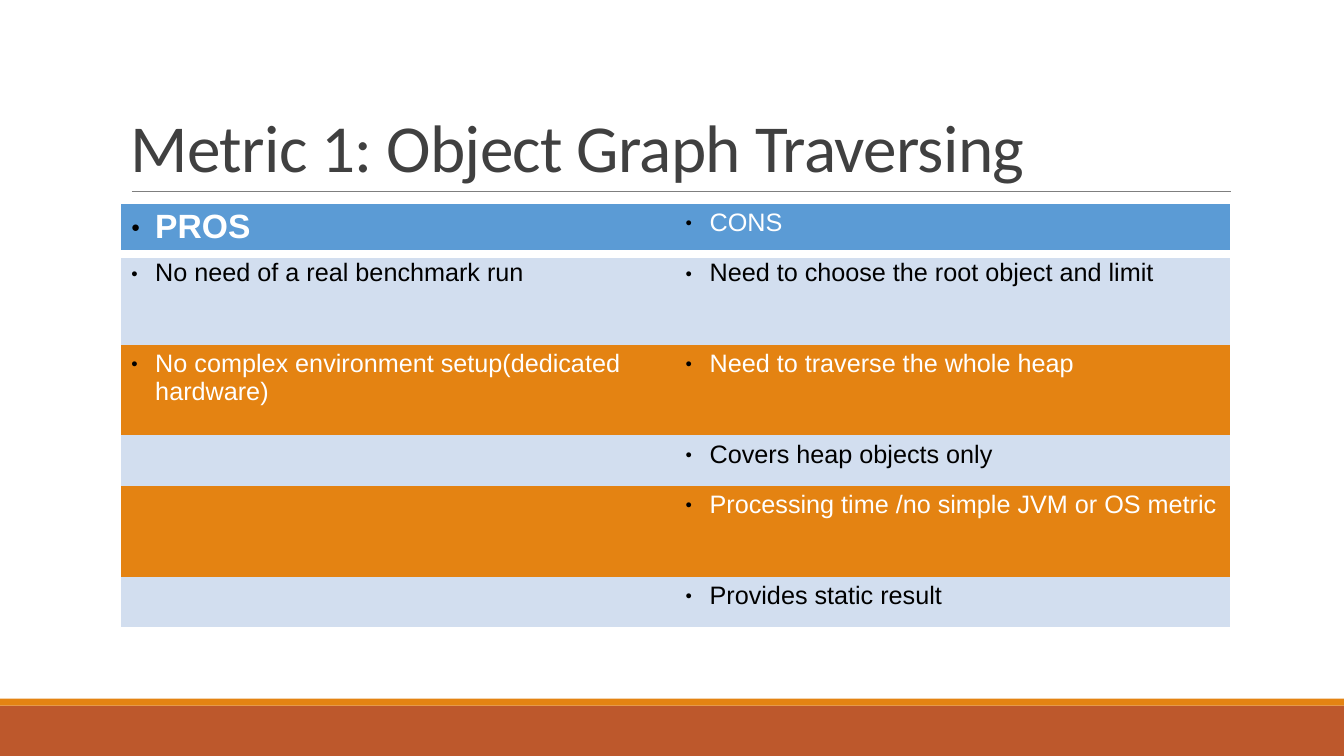
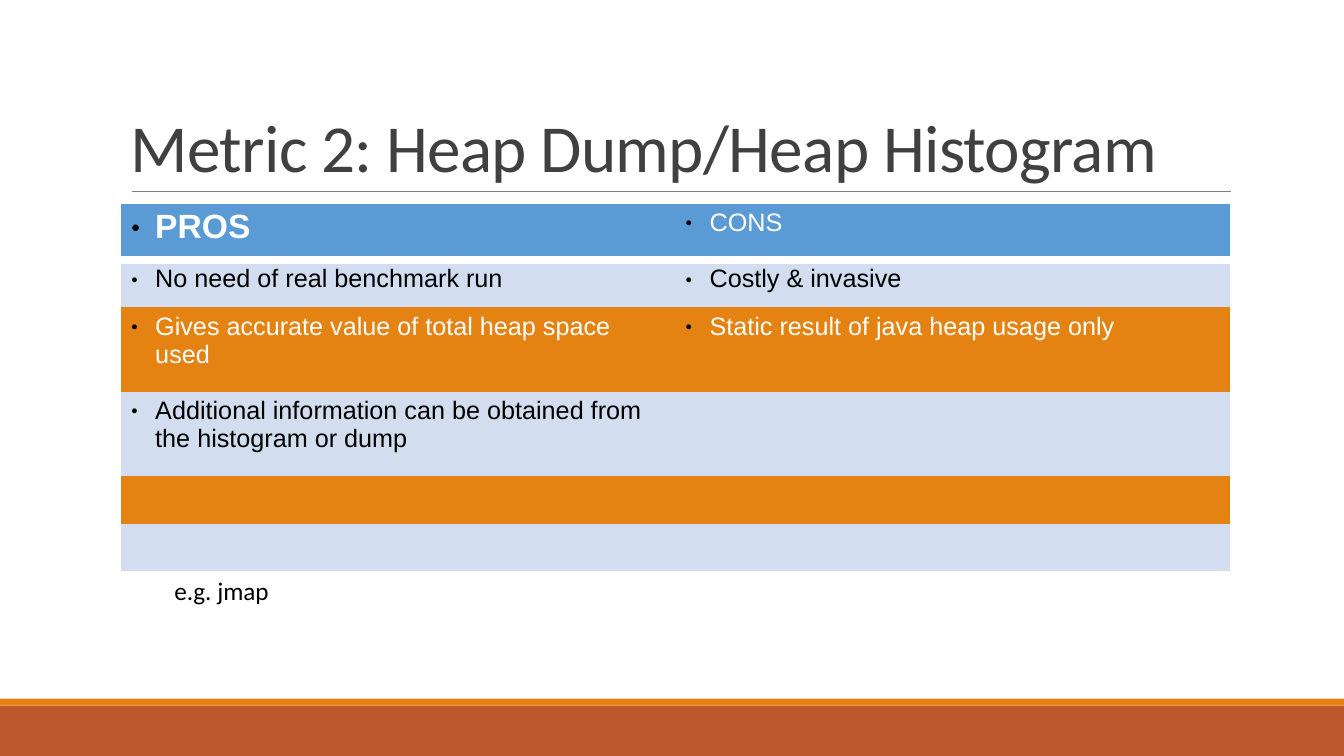
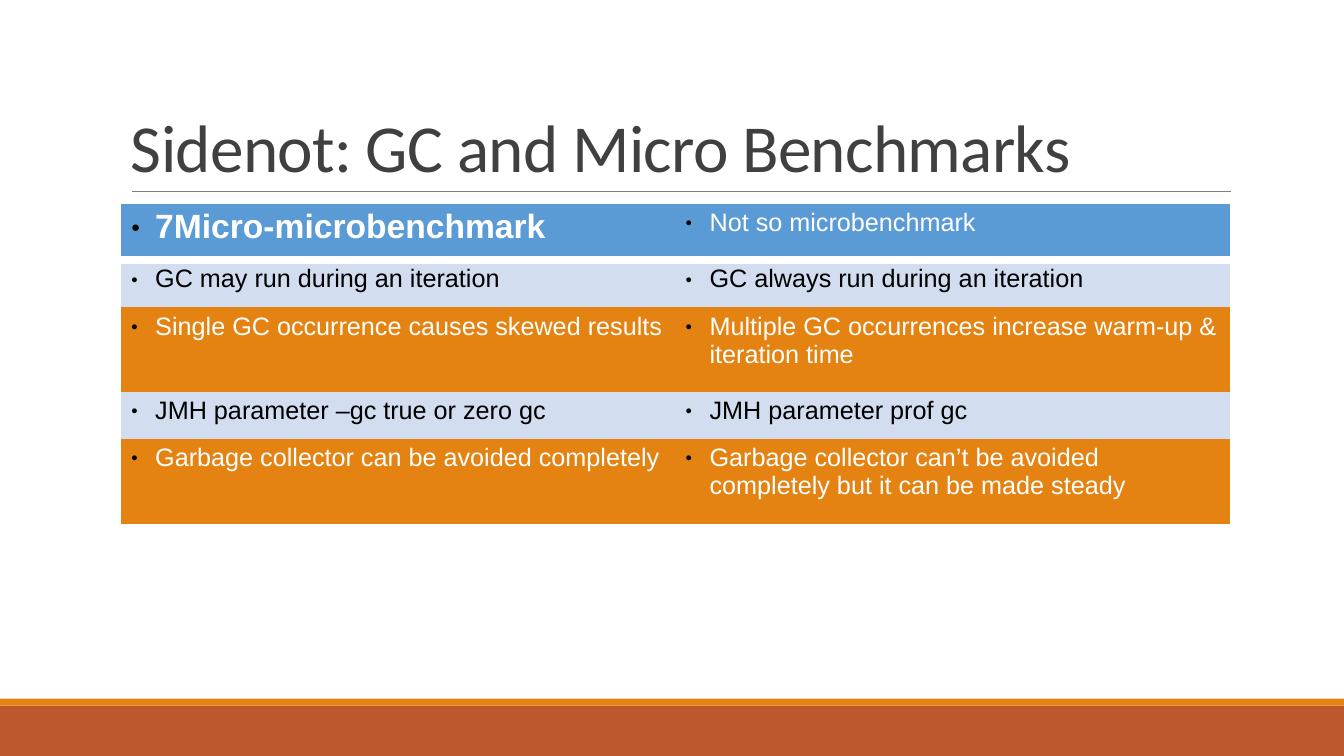
"""Build three comparison slides, each with a title and a two-column table."""
from dataclasses import dataclass

from lxml.etree import SubElement
from pptx import Presentation
from pptx.dml.color import RGBColor as RGB
from pptx.enum.shapes import MSO_CONNECTOR as CONN, MSO_SHAPE as SHAPE
from pptx.enum.text import MSO_ANCHOR as ANCHOR
from pptx.oxml import parse_xml
from pptx.oxml.ns import nsdecls, qn
from pptx.util import Pt


@dataclass(frozen=True)
class Theme:
    title_color: str = "404040"
    rule: str = "7F7F7F"
    black: str = "000000"
    white: str = "FFFFFF"
    header: str = "5B9BD5"
    light: str = "D2DEEF"
    orange: str = "E48312"
    rust: str = "BD582C"
    heading_font: str = "Calibri"
    table_font: str = "Arial"
    title_size: int = 48
    lead_size: int = 24
    body_size: int = 18


T = Theme()
WIDTH, HEIGHT = 960, 540
LEFT, CONTENT_W = 86.4, 792
TABLE_TOP = 145.4
INDENT = 17.28
NO_STYLE = "{2D5ABB26-0587-4C30-8999-92F81FD0307C}"

BANDS = [(504, 36, T.rust), (499, 5, T.orange)]

SLIDES = [
    {
        "title": "Metric 1: Object Graph Traversing",
        "rows": [
            (36, "PROS", "CONS"),
            (64.8, "No need of a real benchmark run",
             "Need to choose the root object and limit"),
            (64.8, "No complex environment setup(dedicated hardware)",
             "Need to traverse the whole heap"),
            (36, "", "Covers heap objects only"),
            (64.8, "", "Processing time /no simple JVM or OS metric"),
            (36, "", "Provides static result"),
        ],
    },
    {
        "title": "Metric 2: Heap Dump/Heap Histogram",
        "rows": [
            (40.4, "PROS", "CONS"),
            (33.6, "No need of real benchmark run", "Costly & invasive"),
            (60.5, "Gives accurate value of total heap space used",
             "Static result of java heap usage only"),
            (60.5, "Additional information can be obtained from the histogram or dump", ""),
            (33.6, "", ""),
            (33.6, "", ""),
        ],
        "note": "e.g. jmap",
    },
    {
        "title": "Sidenot: GC and Micro Benchmarks",
        "rows": [
            (40.4, "7Micro-microbenchmark", "Not so microbenchmark"),
            (33.6, "GC may run during an iteration", "GC always run during an iteration"),
            (60.5, "Single GC occurrence causes skewed results",
             "Multiple GC occurrences increase warm-up & iteration time"),
            (33.6, "JMH parameter –gc true or zero gc", "JMH parameter prof gc"),
            (60.5, "Garbage collector can be avoided completely",
             "Garbage collector can’t be avoided completely but it can be made steady"),
        ],
    },
]


def add_run(p, text, size, color, font, bold=False):
    r = p.add_run()
    r.text = text
    r.font.size = Pt(size)
    r.font.name = font
    r.font.bold = bold
    r.font.color.rgb = RGB.from_string(color)
    return r


def add_text(slide, box, text, size, color, anchor=ANCHOR.TOP):
    tf = slide.shapes.add_textbox(*map(Pt, box)).text_frame
    tf.word_wrap = True
    tf.vertical_anchor = anchor
    p = tf.paragraphs[0]
    return p, add_run(p, text, size, color, T.heading_font)


def add_frame(slide, title):
    for top, height, color in BANDS:
        sp = slide.shapes.add_shape(SHAPE.RECTANGLE, 0, Pt(top), Pt(WIDTH), Pt(height))
        sp.shadow.inherit = False
        sp.fill.solid()
        sp.fill.fore_color.rgb = RGB.from_string(color)
        sp.line.fill.background()
    rule = slide.shapes.add_connector(CONN.STRAIGHT, Pt(94.3), Pt(136.8), Pt(879.1), Pt(136.8))
    rule.line.color.rgb = RGB.from_string(T.rule)
    rule.line.width = Pt(0.5)
    SubElement(rule.element.spPr, qn("a:effectLst"))
    p, r = add_text(slide, (LEFT, 22.3, CONTENT_W, 114.5), title,
                    T.title_size, T.title_color, ANCHOR.BOTTOM)
    p.line_spacing = 0.85
    r.font._element.set("spc", "-50")


def add_bullet(p):
    pPr = p._p.get_or_add_pPr()
    pPr.set("marL", str(Pt(INDENT)))
    pPr.set("indent", str(-Pt(INDENT)))
    SubElement(SubElement(pPr, qn("a:buClr")), qn("a:srgbClr"), val=T.black)
    SubElement(pPr, qn("a:buSzPct"), val="45000")
    SubElement(pPr, qn("a:buFont"), typeface=T.table_font)
    SubElement(pPr, qn("a:buChar"), char="●")


def add_bottom_border(cell):
    cell._tc.get_or_add_tcPr().insert(0, parse_xml(
        f'<a:lnB {nsdecls("a")} w="{Pt(6)}"><a:solidFill>'
        f'<a:srgbClr val="{T.white}"/></a:solidFill></a:lnB>'))


def row_colors(i):
    if i == 0:
        return T.header, T.white
    return (T.light, T.black) if i % 2 else (T.orange, T.white)


def add_comparison(slide, rows):
    total = sum(height for height, *_ in rows)
    frame = slide.shapes.add_table(len(rows), 2, Pt(LEFT), Pt(TABLE_TOP),
                                   Pt(CONTENT_W), Pt(total))
    table = frame.table
    table.first_row = table.horz_banding = False
    table._tbl.tblPr.find(qn("a:tableStyleId")).text = NO_STYLE
    for i, (height, *texts) in enumerate(rows):
        table.rows[i].height = Pt(height)
        fill, color = row_colors(i)
        for j, text in enumerate(texts):
            cell = table.cell(i, j)
            cell.fill.solid()
            cell.fill.fore_color.rgb = RGB.from_string(fill)
            if i == 0:
                add_bottom_border(cell)
            if text:
                p = cell.text_frame.paragraphs[0]
                add_bullet(p)
                lead = i == 0 and j == 0
                add_run(p, text, T.lead_size if lead else T.body_size,
                        color, T.table_font, lead)


def main():
    prs = Presentation()
    prs.slide_width, prs.slide_height = Pt(WIDTH), Pt(HEIGHT)
    for content in SLIDES:
        slide = prs.slides.add_slide(prs.slide_layouts[6])
        add_frame(slide, content["title"])
        add_comparison(slide, content["rows"])
        if "note" in content:
            add_text(slide, (117.4, 407.5, 486.7, 28.8), content["note"], T.body_size, T.black)
    prs.save("out.pptx")


if __name__ == "__main__":
    main()
